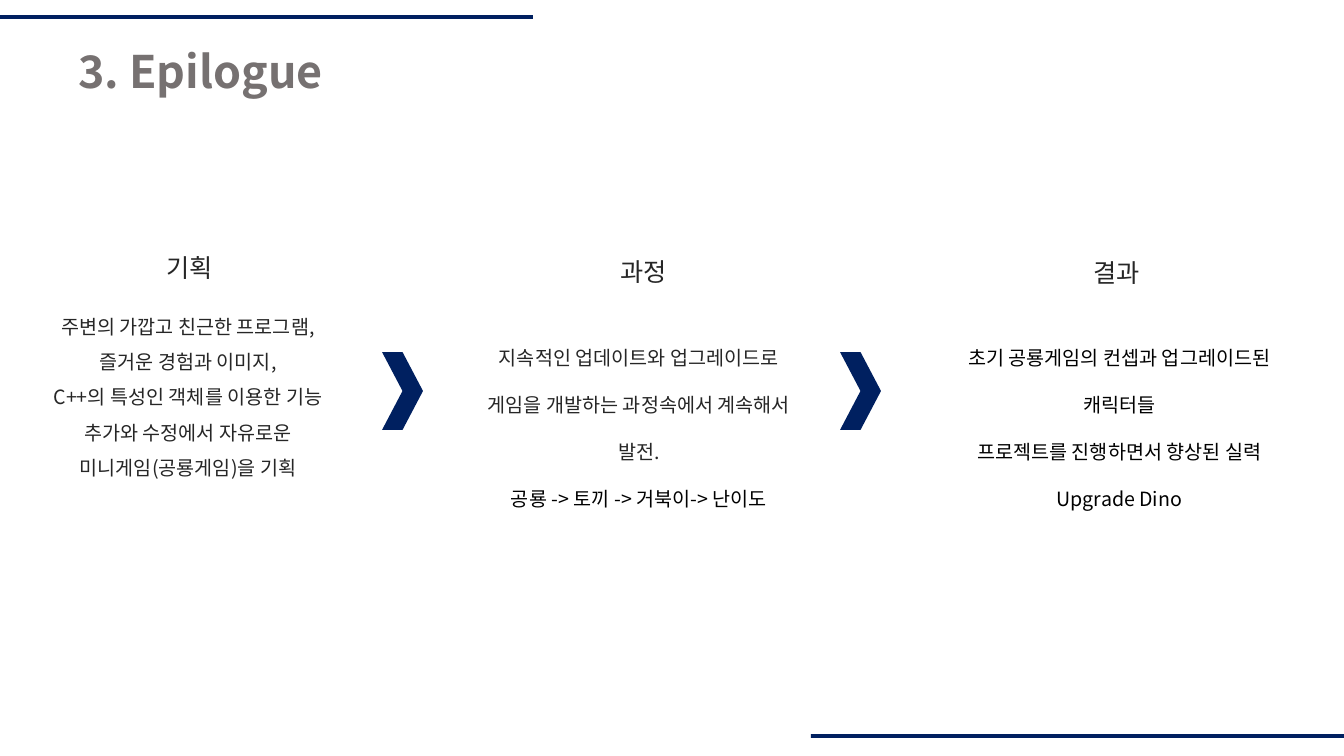
from lxml.etree import SubElement
from pptx import Presentation
from pptx.dml.color import RGBColor
from pptx.enum.shapes import MSO_SHAPE
from pptx.enum.text import MSO_ANCHOR, MSO_AUTO_SIZE, PP_ALIGN
from pptx.oxml.ns import qn
from pptx.util import Emu, Pt

NAVY = RGBColor(0x00, 0x20, 0x60)
GRAY = RGBColor(0x76, 0x71, 0x71)
DARK = RGBColor(0x26, 0x26, 0x26)
BLACK = RGBColor(0x00, 0x00, 0x00)
FONT = "Noto Sans CJK KR"
SCALE = 914400 / 100.8

STAGES = [
    ("기획", (142, 232), (34, 298, 308, 184), 1.5, [
        ("주변의 가깝고 친근한 프로그램,", DARK),
        ("즐거운 경험과 이미지,", DARK),
        ("C++의 특성인 객체를 이용한 기능 추가와 수정에서 자유로운", DARK),
        ("미니게임(공룡게임)을 기획", DARK),
    ]),
    ("과정", (596, 236), (466, 317, 346, 146), 2.0, [
        ("지속적인 업데이트와 업그레이드로 게임을 개발하는 과정속에서 계속해서 발전.", DARK),
        ("공룡 -> 토끼 -> 거북이-> 난이도", BLACK),
    ]),
    ("결과", (1069, 237), (920, 317, 399, 146), 2.0, [
        ("초기 공룡게임의 컨셉과 업그레이드된 캐릭터들", BLACK),
        ("프로젝트를 진행하면서 향상된 실력", BLACK),
        ("Upgrade Dino", BLACK),
    ]),
]


def px(count):
    return Emu(round(count * SCALE))


def style(para, size, color, bold=False):
    for run in para.runs:
        font = run.font
        font.name = FONT
        font.size = Pt(size)
        font.bold = bold
        font.color.rgb = color
        SubElement(run._r.get_or_add_rPr(), qn("a:ea"), typeface=FONT)


def add_title(slide, text, box):
    title = slide.shapes.title
    title.left, title.top, title.width, title.height = map(px, box)
    frame = title.text_frame
    frame.text = text
    frame.vertical_anchor = MSO_ANCHOR.TOP
    frame.auto_size = MSO_AUTO_SIZE.SHAPE_TO_FIT_TEXT
    para = frame.paragraphs[0]
    para.alignment = PP_ALIGN.LEFT
    style(para, 32, GRAY, True)


def add_text(slide, box, lines, size, spacing):
    frame = slide.shapes.add_textbox(*map(px, box)).text_frame
    frame.word_wrap = True
    frame.auto_size = MSO_AUTO_SIZE.SHAPE_TO_FIT_TEXT
    for index, (text, color) in enumerate(lines):
        para = frame.add_paragraph() if index else frame.paragraphs[0]
        para.text = text
        para.alignment = PP_ALIGN.CENTER
        para.line_spacing = spacing
        style(para, size, color)


def add_mark(slide, kind, box):
    mark = slide.shapes.add_shape(kind, *map(px, box))
    mark.shadow.inherit = False
    mark.fill.solid()
    mark.fill.fore_color.rgb = NAVY
    mark.line.fill.background()


def main():
    deck = Presentation()
    deck.slide_width, deck.slide_height = px(1344), px(756)
    slide = deck.slides.add_slide(deck.slide_layouts[5])
    for left, top in ((811, 734), (0, 15)):
        add_mark(slide, MSO_SHAPE.RECTANGLE, (left, top, 533, 4))
    add_title(slide, "3. Epilogue", (68, 39, 283, 65))
    for left in (382, 840):
        add_mark(slide, MSO_SHAPE.CHEVRON, (left, 352, 41, 78))
    for name, spot, box, spacing, lines in STAGES:
        add_text(slide, (*spot, 95, 51), [(name, DARK)], 18, 1.5)
        add_text(slide, box, lines, 14, spacing)
    deck.save("out.pptx")


if __name__ == "__main__":
    main()
